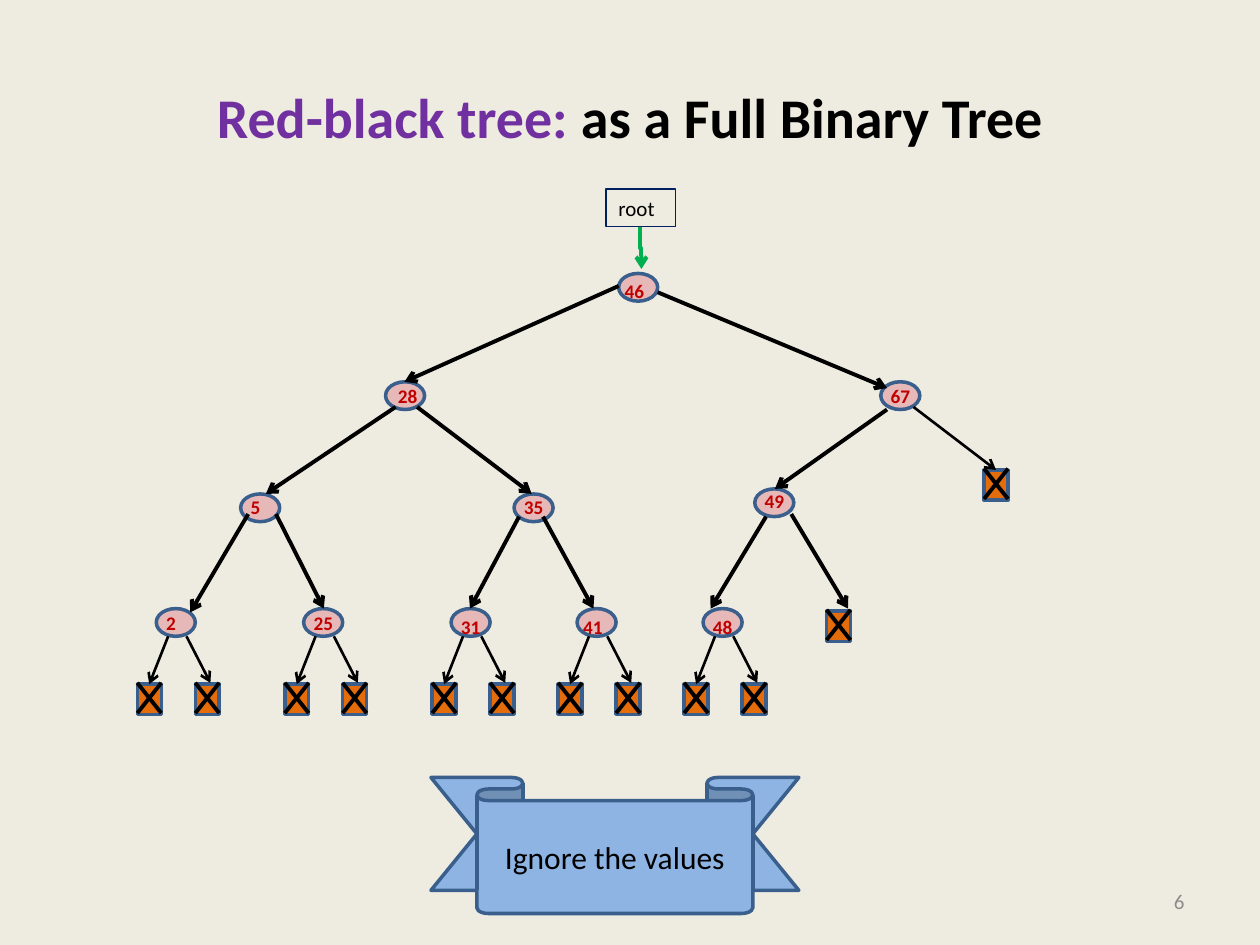
from lxml.etree import SubElement
from pptx import Presentation
from pptx.dml.color import RGBColor
from pptx.enum.shapes import MSO_CONNECTOR, MSO_SHAPE
from pptx.enum.text import MSO_ANCHOR, PP_ALIGN
from pptx.oxml.ns import qn
from pptx.util import Inches, Pt

HUES = {
    "back": "EEECE1", "title": "7030A0", "ink": "000000", "gray": "8C8C8C",
    "node": "E6B9B8", "edge": "3A5F8C", "value": "C00000", "leaf": "E46C0A",
    "root": "002060", "arrow": "00B050", "note": "8EB4E3",
}
COLS, ROWS = 100, 75
TITLE = [("Red-black tree: ", "title"), ("as a Full Binary Tree", "ink")]
NODES = [
    ("46", 49.1, 21.7, -0.5, 0), ("67", 69.9, 30.3, -0.2, -0.3),
    ("5", 19.1, 39.2, -0.2, -0.4), ("49", 59.9, 38.8, -0.2, -0.5),
    ("35", 40.8, 39.2, -0.2, -0.4), ("28", 30.6, 30.3, 0, -0.3),
    ("2", 12.4, 48.3, -0.2, -0.3), ("25", 24.1, 48.3, -0.2, -0.3),
    ("31", 35.8, 48.3, -0.2, 0), ("41", 45.8, 48.3, -0.5, 0),
    ("48", 55.8, 48.3, -0.2, 0),
]
EDGES = [
    (49.1, 22.7, 32.1, 30.3), (31.4, 32.3, 21.1, 39.2),
    (41.2, 41, 37.3, 48.3), (19.7, 40.8, 15.1, 48.6),
    (60.8, 41, 56.4, 48.3), (70.4, 32.5, 61.5, 38.8),
    (33.1, 32.3, 42.2, 39.2), (21.9, 40.8, 25.7, 48.3),
    (43.1, 41, 47.1, 48.3), (62.8, 40.8, 67.3, 48.3),
    (52.2, 23.2, 70.4, 30.8),
]
LOW, FOOT, LEAF = 48.3, 54.3, (1.9, 2.4)
PLAIN = {"size": Pt(12), "name": "Calibri", "bold": False}
BOLD = {"size": Pt(11), "name": "Calibri", "bold": True}
HEAD = {"size": Pt(32), "name": "Calibri", "bold": True}
NOTE = {"size": Pt(18), "name": "Calibri", "bold": False}

deck = Presentation()
deck.slide_width, deck.slide_height = Inches(10), Inches(7.5)
slide = deck.slides.add_slide(deck.slide_layouts[5])
slide.background.fill.solid()
slide.background.fill.fore_color.rgb = RGBColor.from_string(HUES["back"])


def place(*spots):
    steps = (deck.slide_width / COLS, deck.slide_height / ROWS)
    return [round(spot * steps[i % 2]) for i, spot in enumerate(spots)]


def write(shape, runs, look, side=PP_ALIGN.LEFT, anchor=MSO_ANCHOR.TOP, wrap=True):
    frame = shape.text_frame
    frame.word_wrap, frame.vertical_anchor = wrap, anchor
    line = frame.paragraphs[0]
    line.alignment = side
    for text, hue in runs:
        run = line.add_run()
        run.text = text
        for key, value in look.items():
            setattr(run.font, key, value)
        run.font.color.rgb = RGBColor.from_string(HUES[hue])


def draw(home, kind, box, fill=None, edge="edge", width=2):
    shape = home.add_shape(kind, *place(*box))
    shape.shadow.inherit = False
    if fill:
        shape.fill.solid()
        shape.fill.fore_color.rgb = RGBColor.from_string(HUES[fill])
    else:
        shape.fill.background()
    shape.line.color.rgb = RGBColor.from_string(HUES[edge])
    shape.line.width = Pt(width)
    return shape


def link(home, ends, width=2.25, hue="ink", head=True, kind=MSO_CONNECTOR.STRAIGHT):
    wire = home.add_connector(kind, *place(*ends))
    wire.line.color.rgb = RGBColor.from_string(HUES[hue])
    wire.line.width = Pt(width)
    if head:
        SubElement(wire.line._get_or_add_ln(), qn("a:tailEnd"), type="arrow")
    SubElement(wire._element.spPr, qn("a:effectLst"))
    return wire


def leaf(home, x, y):
    wide, high = LEAF
    box = draw(home, MSO_SHAPE.RECTANGLE, (x, y, wide, high), "leaf")
    for a, b in ((x + wide, x), (x, x + wide)):
        link(home, (a, y - 0.1, b, y + high - 0.1), head=False)
    return box


title = slide.shapes.title
title.left, title.top, title.width, title.height = place(5, 3, 90, 12.5)
write(title, TITLE, HEAD, PP_ALIGN.CENTER, MSO_ANCHOR.MIDDLE)
page = slide.shapes.add_textbox(*place(71.7, 69.5, 23.3, 4))
write(page, [("6", "gray")], PLAIN, PP_ALIGN.RIGHT, MSO_ANCHOR.MIDDLE)

tree = slide.shapes.add_group_shape().shapes
for _, x, y, _, _ in NODES:
    draw(tree, MSO_SHAPE.OVAL, (x, y, 3.1, 2.2), "node")
for ends in EDGES:
    link(tree, ends)
bend = link(tree, (52.5, 19.65, 49.2, 19.75), hue="arrow", kind=MSO_CONNECTOR.ELBOW)
bend._element.spPr.find(qn("a:xfrm")).set("rot", "16200000")
root = draw(tree, MSO_SHAPE.RECTANGLE, (48.1, 15, 5.5, 3), edge="root", width=0.75)
write(root, [("root", "ink")], PLAIN)
for value, x, y, dx, dy in NODES:
    wide = 2 + 0.8 * len(value)
    label = tree.add_textbox(*place(x + dx, y + dy, wide, 2.9))
    write(label, [(value, "value")], BOLD, wrap=False)

ends = slide.shapes.add_group_shape().shapes
for _, x, y, _, _ in NODES:
    if y == LOW:
        left = leaf(ends, x - 1.5, FOOT)
        wire = link(ends, (x + 0.95, 50.5, x - 0.55, FOOT), 1.5)
        wire.end_connect(left, 0)
        leaf(ends, x + 3.1, FOOT)
        link(ends, (x + 2.4, 50.5, x + 4.3, FOOT - 0.1), 1.5)
leaf(ends, 65.6, 48.5)
last = leaf(ends, 78.1, 37.3)
link(ends, (72.5, 32.3, 79.2, 37.2), 1.5).end_connect(last, 0)

note = draw(slide.shapes, MSO_SHAPE.DOWN_RIBBON, (34.2, 61.7, 29.2, 10.8), "note")
note.adjustments[0], note.adjustments[1] = 0.17, 0.75
write(note, [("Ignore the values", "ink")], NOTE, PP_ALIGN.CENTER, MSO_ANCHOR.MIDDLE)

deck.save("out.pptx")
